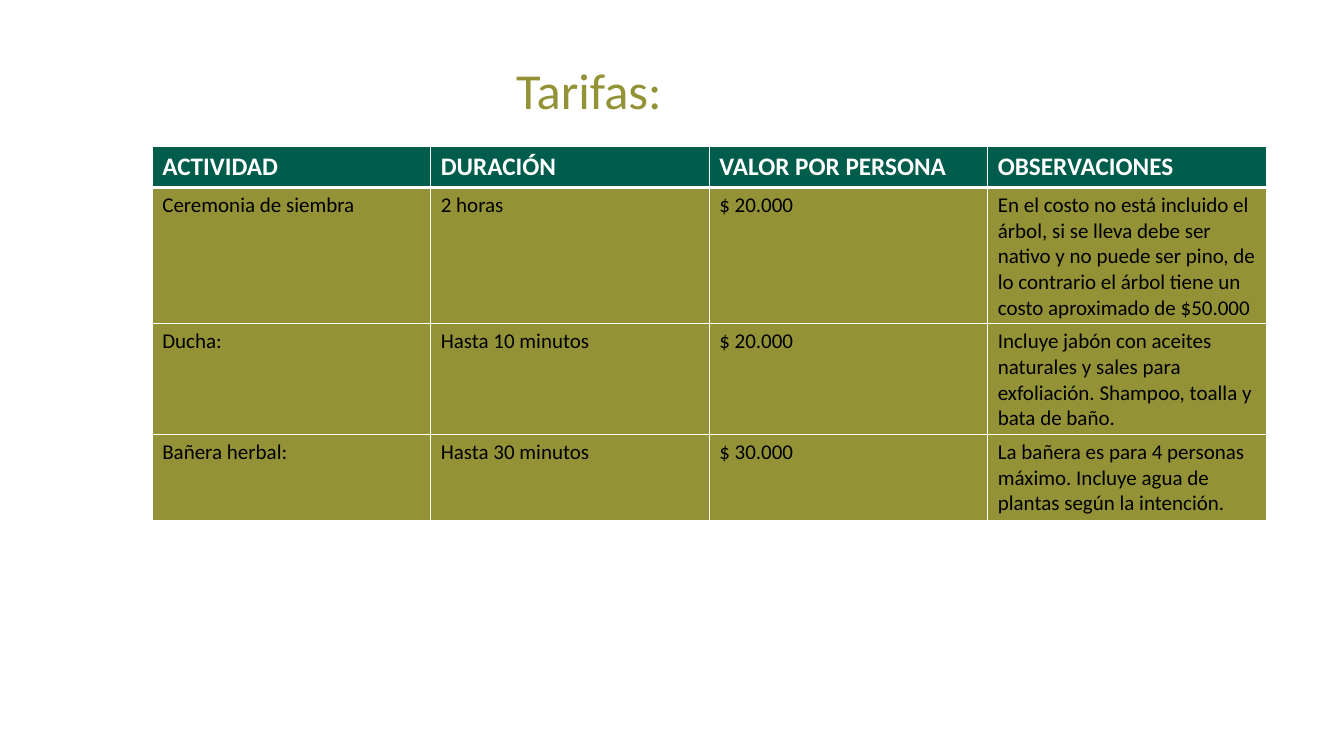
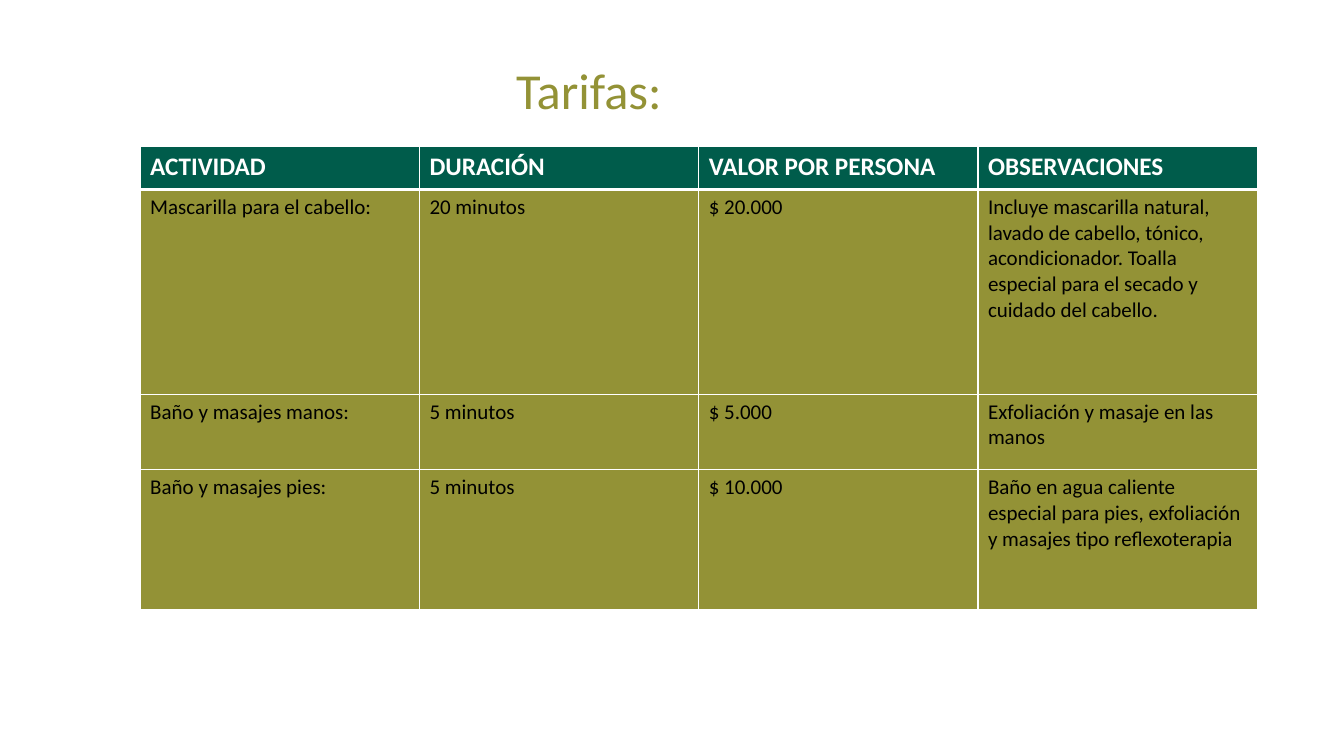
import lxml.etree
import pptx
import pptx.dml.color
import pptx.oxml.ns
import pptx.util

SCALE = 9144
FONT = "Calibri"
GREEN, OLIVE, WHITE, BLACK = "005C4B", "939236", "FFFFFF", "000000"
HEADINGS = ("ACTIVIDAD", "DURACIÓN", "VALOR POR PERSONA", "OBSERVACIONES")
TITLE_BOX = (502, 54, 538, 71)

RATE_PAGES = [
    {
        "box": (151, 145, 1105, 371),
        "heights": (41, 135, 110, 85),
        "rates": [
            ("Ceremonia de siembra", "2 horas", "$ 20.000",
             "En el costo no está incluido el árbol, si se lleva debe ser nativo y no "
             "puede ser pino, de lo contrario el árbol tiene un costo aproximado de $50.000"),
            ("Ducha:", "Hasta 10 minutos", "$ 20.000",
             "Incluye jabón con aceites naturales y sales para exfoliación. "
             "Shampoo, toalla y bata de baño."),
            ("Bañera herbal:", "Hasta 30 minutos", "$ 30.000",
             "La bañera es para 4 personas máximo. Incluye agua de plantas según la intención."),
        ],
    },
    {
        "box": (139, 145, 1108, 460),
        "heights": (43, 203, 75, 139),
        "rates": [
            ("Mascarilla para el cabello:", "20 minutos", "$ 20.000",
             "Incluye mascarilla natural, lavado de cabello, tónico, acondicionador. "
             "Toalla especial para el secado y cuidado del cabello."),
            ("Baño y masajes manos:", "5 minutos", "$ 5.000",
             "Exfoliación y masaje en las manos"),
            ("Baño y masajes pies:", "5 minutos", "$ 10.000",
             "Baño en agua caliente especial para pies, exfoliación y masajes tipo reflexoterapia"),
        ],
    },
]


def px(length):
    """Turn px into EMU."""
    return pptx.util.Emu(round(length * SCALE))


def color(value):
    """Turn a hex string into a colour."""
    return pptx.dml.color.RGBColor.from_string(value)


def write(frame, text, size=15, ink=BLACK, bold=False):
    """Write one formatted paragraph into a text frame."""
    frame.word_wrap = True
    span = frame.paragraphs[0].add_run()
    span.text = text
    span.font.name = FONT
    span.font.size = pptx.util.Pt(size)
    span.font.bold = bold
    span.font.color.rgb = color(ink)


def add_border(cell, side, width):
    """Draw one white side of a cell."""
    qualify = pptx.oxml.ns.qn
    properties = cell._tc.get_or_add_tcPr()
    line = lxml.etree.SubElement(properties, qualify(f"a:ln{side}"), w=str(pptx.util.Pt(width)))
    fill = lxml.etree.SubElement(line, qualify("a:solidFill"))
    lxml.etree.SubElement(fill, qualify("a:srgbClr"), val=WHITE)


def fill_cell(cell, text, row):
    """Format a cell as a heading or a rate, according to its row."""
    heading = row == 0
    widths = {"L": 1, "R": 1, "T": 3 if row == 1 else 1, "B": 3 if heading else 1}
    for side, width in widths.items():
        add_border(cell, side, width)
    cell.fill.solid()
    cell.fill.fore_color.rgb = color(GREEN if heading else OLIVE)
    style = {"size": 18, "ink": WHITE, "bold": True} if heading else {}
    write(cell.text_frame, text, **style)


def add_title(page, box):
    """Place the slide title in its box."""
    title = page.shapes.add_textbox(*map(px, box))
    write(title.text_frame, "Tarifas:", size=36, ink=OLIVE)


def add_rates(page, box, heights, rates):
    """Place the table of rates in its box, with equal columns."""
    rows = [HEADINGS, *rates]
    table = page.shapes.add_table(len(rows), len(HEADINGS), *map(px, box)).table
    table.horz_banding = False
    for column in table.columns:
        column.width = px(box[2] / len(HEADINGS))
    for row, (texts, height) in enumerate(zip(rows, heights)):
        table.rows[row].height = px(height)
        for column, text in enumerate(texts):
            fill_cell(table.cell(row, column), text, row)


def main():
    """Build and save the deck."""
    deck = pptx.Presentation()
    deck.slide_width, deck.slide_height = px(1333), px(750)
    for content in RATE_PAGES:
        page = deck.slides.add_slide(deck.slide_layouts[6])
        add_title(page, TITLE_BOX)
        add_rates(page, **content)
    deck.save("out.pptx")


if __name__ == "__main__":
    main()
